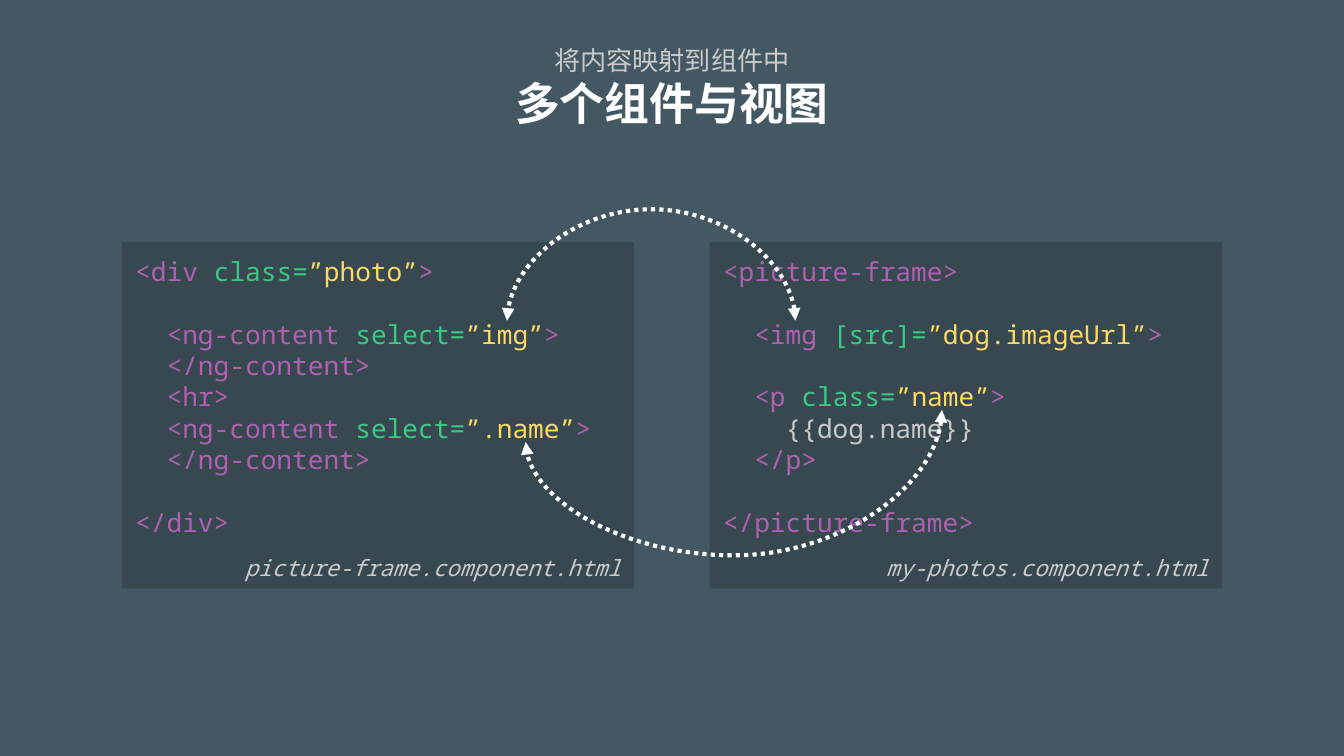
"""Builds a slide that maps projected content between two component templates."""
from lxml import etree
from pptx import Presentation
from pptx.dml.color import RGBColor
from pptx.enum import dml, shapes, text
from pptx.oxml import ns
from pptx.util import Pt

TITLE = [("将内容映射到组件中", "subtitle", "muted"), ("多个组件与视图", "title", "white")]
PANELS = [
    ("picture-frame.component.html", [
        [("tag", "<div "), ("attr", "class="), ("value", "”photo”"), ("tag", ">")],
        [],
        [("tag", "  <ng-content "), ("attr", "select="), ("value", "”img”"), ("tag", ">")],
        [("tag", "  </ng-content>")],
        [("tag", "  <hr>")],
        [("tag", "  <ng-content "), ("attr", "select="), ("value", "”.name”"), ("tag", ">")],
        [("tag", "  </ng-content>")],
        [],
        [("tag", "</div>")],
    ]),
    ("my-photos.component.html", [
        [("tag", "<picture-frame>")],
        [],
        [("tag", "  <img "), ("attr", "[src]="), ("value", "”dog.imageUrl”"), ("tag", ">")],
        [],
        [("tag", "  <p "), ("attr", "class="), ("value", "”name”"), ("tag", ">")],
        [("muted", "    {{dog.name}}")],
        [("tag", "  </p>")],
        [],
        [("tag", "</picture-frame>")],
    ]),
]
LINKS = [
    {"start": (504.6, 219.6), "end": (281.6, 236.8), "bend": 297.5},
    {"start": (426.1, 171.8), "end": (271.6, 171.8), "bend": 119.2},
]
THEME = {
    "color": {"bg": "445863", "panel": "374851", "tag": "B060B0", "attr": "3BCA81",
              "value": "FFD966", "muted": "CACACA", "white": "FFFFFF"},
    "size": {"subtitle": 14, "title": 24, "code": 14, "file": 12},
    "font": {"title": "Roboto", "code": "Noto Sans Mono"},
}
W, H = 720, 405
PANEL_W, PANEL_H, PANEL_TOP, GAP = 274.4, 185.6, 129.6, 40.4
LABEL_W, LABEL_H, LABEL_TOP = 265, 31.7, 289.5
INSET, LEADING, LINE_W, MIN_SPAN = 7.2, 16.8, 2.25, 0.05


def color(name):
    return RGBColor.from_string(THEME["color"][name])


def style(r, font, size, fill):
    r.font.name = THEME["font"][font]
    r.font.size = Pt(THEME["size"][size])
    r.font.color.rgb = color(fill)


def frame(sp, anchor=text.MSO_ANCHOR.TOP):
    tf = sp.text_frame
    tf.word_wrap = True
    tf.auto_size = text.MSO_AUTO_SIZE.NONE
    tf.vertical_anchor = anchor
    tf.margin_left = tf.margin_right = tf.margin_top = tf.margin_bottom = Pt(INSET)
    return tf


def add_title(s):
    sp = s.shapes.title
    sp.left, sp.top, sp.width, sp.height = Pt(24.5), Pt(23.8), Pt(671), Pt(45.4)
    tf = frame(sp, text.MSO_ANCHOR.MIDDLE)
    tf.text = "\n".join(line for line, _, _ in TITLE)
    for p, (_, size, fill) in zip(tf.paragraphs, TITLE):
        p.alignment = text.PP_ALIGN.CENTER
        style(p.runs[0], "title", size, fill)
        p.runs[0].font.bold = size == "title"


def add_panel(s, left, code):
    sp = s.shapes.add_shape(shapes.MSO_SHAPE.RECTANGLE, Pt(left), Pt(PANEL_TOP),
                            Pt(PANEL_W), Pt(PANEL_H))
    sp.shadow.inherit = False
    sp.fill.solid()
    sp.fill.fore_color.rgb = color("panel")
    sp.line.fill.background()
    p = frame(sp).paragraphs[0]
    p.alignment = text.PP_ALIGN.LEFT
    p.line_spacing = Pt(LEADING)
    for i, line in enumerate(code):
        if i:
            p.add_line_break()
        for kind, token in line:
            r = p.add_run()
            r.text = token
            style(r, "code", "code", kind)


def add_label(s, right, name):
    sp = s.shapes.add_textbox(Pt(right - LABEL_W), Pt(LABEL_TOP), Pt(LABEL_W), Pt(LABEL_H))
    p = frame(sp).paragraphs[0]
    p.text = name
    p.alignment = text.PP_ALIGN.RIGHT
    style(p.runs[0], "code", "file", "muted")
    p.runs[0].font.italic = True


def add_link(s, start, end, bend):
    (x1, y1), (x2, y2) = start, end
    span, reach = max(y2 - y1, MIN_SPAN), x1 - x2
    left, top = (x1 + x2 - span) / 2, (y1 + y2 - reach) / 2
    c = s.shapes.add_connector(shapes.MSO_CONNECTOR.CURVE, Pt(left), Pt(top),
                               Pt(left + span), Pt(top + reach))
    c.line.color.rgb = color("white")
    c.line.width = Pt(LINE_W)
    c.line.dash_style = dml.MSO_LINE.ROUND_DOT
    pr = c._element.spPr
    pr.find(ns.qn("a:xfrm")).set("rot", str(90 * 60000))
    guides = pr.find(ns.qn("a:prstGeom")).find(ns.qn("a:avLst"))
    etree.SubElement(guides, ns.qn("a:gd"), name="adj1",
                     fmla=f"val {round((bend - y1) / span * 100000)}")
    ln = pr.find(ns.qn("a:ln"))
    for tag in ("a:headEnd", "a:tailEnd"):
        etree.SubElement(ln, ns.qn(tag), type="triangle")
    etree.SubElement(pr, ns.qn("a:effectLst"))


def main():
    prs = Presentation()
    prs.slide_width, prs.slide_height = Pt(W), Pt(H)
    s = prs.slides.add_slide(prs.slide_layouts[5])
    s.background.fill.solid()
    s.background.fill.fore_color.rgb = color("bg")
    add_title(s)
    first = (W - len(PANELS) * PANEL_W - (len(PANELS) - 1) * GAP) / 2
    for i, (name, code) in enumerate(PANELS):
        left = first + i * (PANEL_W + GAP)
        add_panel(s, left, code)
        add_label(s, left + PANEL_W, name)
    for link in LINKS:
        add_link(s, **link)
    prs.save("out.pptx")


if __name__ == "__main__":
    main()
